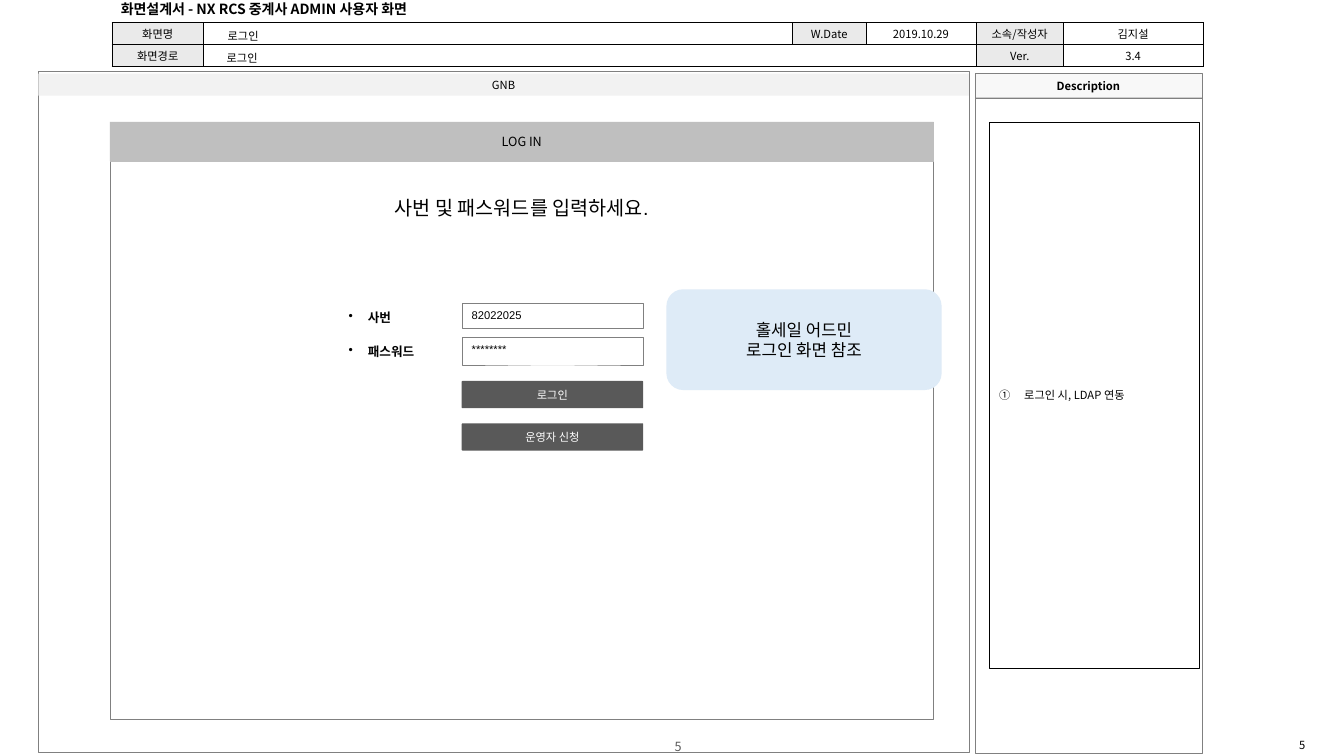
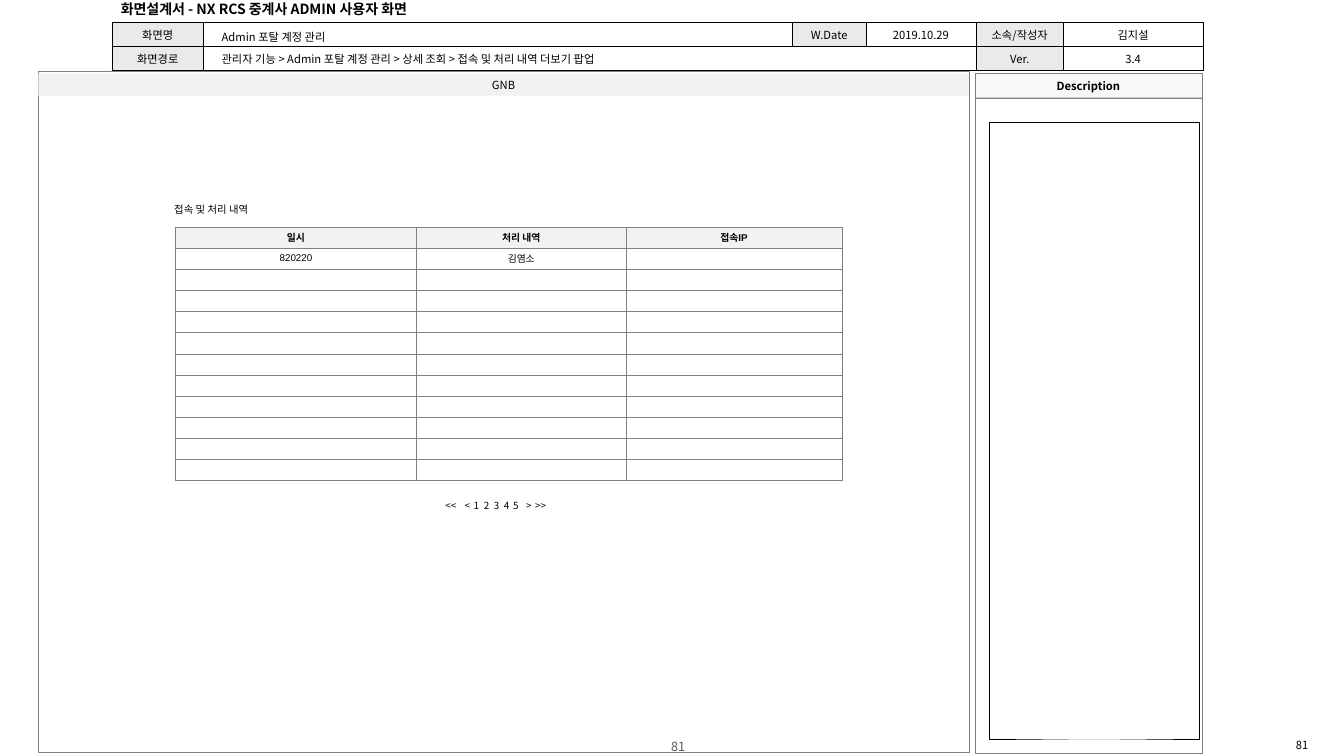
from lxml import etree
from pptx import Presentation
from pptx import util as u
from pptx.dml.color import RGBColor
from pptx.enum import shapes, text
from pptx.oxml import ns

BLACK = RGBColor(0x00, 0x00, 0x00)
WHITE = RGBColor(0xFF, 0xFF, 0xFF)
GRAY = RGBColor(0x80, 0x80, 0x80)
DARK = RGBColor(0x59, 0x59, 0x59)
SILVER = RGBColor(0xBF, 0xBF, 0xBF)
LABEL = RGBColor(0xEA, 0xEA, 0xEA)
BAND = RGBColor(0xF2, 0xF2, 0xF2)
PALE = RGBColor(0xF8, 0xF8, 0xF8)
BLUE = RGBColor(0xDE, 0xEB, 0xF7)
NOTO = "Noto Sans CJK KR"
ARIAL = "Arial"
LEFT, CENTER = text.PP_ALIGN.LEFT, text.PP_ALIGN.CENTER
TOP, MIDDLE = text.MSO_ANCHOR.TOP, text.MSO_ANCHOR.MIDDLE
RECT = shapes.MSO_SHAPE.RECTANGLE
ROUND = shapes.MSO_SHAPE.ROUNDED_RECTANGLE
HEADER_COLUMNS = (0.91, 5.84, 0.73, 1.09, 0.87, 1.38)
HEADER_ROWS = (
    ("화면명", "", "W.Date", "2019.10.29", "소속/작성자", "김지설"),
    ("화면경로", "", "", "", "Ver.", "3.4"),
)
HISTORY_COLUMNS = (2.39, 2.08, 2.14)
HISTORY_ROWS = [("일시", "처리 내역", "접속IP"), ("820220", "김염소", "")] + [("",) * 3] * 10
PAGER = ("<<", "<", "1", "2", "3", "4", "5", ">", ">>")
PAGER_STOPS = (0.19, 0.28, 0.38, 0.48, 0.58, 0.67, 0.8, 0.89)


def apply(target, values):
    for name, value in values.items():
        setattr(target, name, value)


def add_child(parent, tag, **attributes):
    return etree.SubElement(parent, ns.qn(tag), attributes)


def write(frame, content, size=8, font=NOTO, color=BLACK, bold=False,
          align=LEFT, spacing=None):
    for index, line in enumerate(content.split("\n")):
        para = frame.add_paragraph() if index else frame.paragraphs[0]
        apply(para, {"alignment": align, "line_spacing": spacing})
        if not line:
            add_child(para._p, "a:endParaRPr", sz=str(size * 100))
            continue
        span = para.add_run()
        span.text = line
        apply(span.font, {"size": u.Pt(size), "name": font, "bold": bold})
        span.font.color.rgb = color
        add_child(span.font._element, "a:ea", typeface=NOTO)


def add_text(page, at, content, anchor=TOP, **style):
    box = page.shapes.add_textbox(*map(u.Inches, at))
    apply(box.text_frame, {"word_wrap": True, "vertical_anchor": anchor})
    write(box.text_frame, content, **style)
    return box


def add_box(page, at, content="", fill=None, line=None, width=0.25, kind=RECT,
            corner=None, anchor=MIDDLE, align=CENTER, **style):
    box = page.shapes.add_shape(kind, *map(u.Inches, at))
    box.shadow.inherit = False
    if corner is not None:
        box.adjustments[0] = corner
    if fill is None:
        box.fill.background()
    else:
        box.fill.solid()
        box.fill.fore_color.rgb = fill
    if line is None:
        box.line.fill.background()
    else:
        box.line.color.rgb = line
        box.line.width = u.Pt(width)
    apply(box.text_frame, {"word_wrap": True, "vertical_anchor": anchor})
    if content:
        write(box.text_frame, content, align=align, **style)
    return box


def add_bullet(box, indent, tag, **attributes):
    properties = box.text_frame.paragraphs[0]._p.get_or_add_pPr()
    distance = u.Inches(indent)
    properties.set("marL", str(distance))
    properties.set("indent", str(-distance))
    add_child(properties, tag, **attributes)


def add_tabs(box, stops):
    properties = box.text_frame.paragraphs[0]._p.get_or_add_pPr()
    tabs = add_child(properties, "a:tabLst")
    for stop in stops:
        add_child(tabs, "a:tab", pos=str(u.Inches(stop)), algn="l")


def format_cell(cell, content, fill, border, margin, **style):
    apply(cell, {"vertical_anchor": MIDDLE,
                 "margin_left": u.Inches(0.04), "margin_right": u.Inches(0.04),
                 "margin_top": u.Inches(margin), "margin_bottom": u.Inches(margin)})
    properties = cell._tc.get_or_add_tcPr()
    for side in ("a:lnL", "a:lnR", "a:lnT", "a:lnB"):
        edge = add_child(properties, side, w=str(u.Pt(0.25)))
        solid = add_child(edge, "a:solidFill")
        add_child(solid, "a:srgbClr", val=str(border))
    cell.fill.solid()
    cell.fill.fore_color.rgb = fill
    write(cell.text_frame, content, align=CENTER, **style)


def add_grid(page, left, top, columns, rows, height, style_of):
    frame = page.shapes.add_table(
        len(rows), len(columns), u.Inches(left), u.Inches(top),
        u.Inches(sum(columns)), u.Inches(height * len(rows)))
    table = frame.table
    apply(table, {"first_row": False, "horz_banding": False})
    for column, width in zip(table.columns, columns):
        column.width = u.Inches(width)
    for r, values in enumerate(rows):
        table.rows[r].height = u.Inches(height)
        for c, value in enumerate(values):
            format_cell(table.cell(r, c), value, **style_of(r, c))
    return table


def header_style(row, column):
    return {"fill": WHITE if column % 2 else LABEL, "border": BLACK, "margin": 0.02}


def history_style(row, column):
    heading = row == 0
    return {"fill": BAND if heading else WHITE, "border": GRAY, "margin": 0.03,
            "size": 7, "font": ARIAL, "bold": heading}


def add_frame(page, number, row_height):
    add_text(page, (12.5, 7.31, 0.83, 0.16), number, MIDDLE, align=CENTER)
    add_text(page, (5.17, 7.34, 3.11, 0.13), number, MIDDLE,
             size=9, color=DARK, align=CENTER)
    add_box(page, (0.38, 0.71, 9.23, 6.75), line=GRAY)
    table = add_grid(page, 1.11, 0.22, HEADER_COLUMNS, HEADER_ROWS,
                     row_height, header_style)
    table.cell(1, 1).merge(table.cell(1, 3))
    add_text(page, (1.1, -0.04, 4.5, 0.26), "화면설계서 - NX RCS 중계사 ADMIN 사용자 화면",
             MIDDLE, size=10, bold=True)
    add_box(page, (9.67, 0.96, 2.25, 6.51), line=GRAY)
    add_box(page, (9.67, 0.73, 2.25, 0.24), "Description", PALE, GRAY, bold=True)
    add_box(page, (0.38, 0.73, 9.23, 0.22), "GNB", BAND)


def add_field(page, top, height, label, value):
    add_box(page, (4.58, top, 1.8, height), value, WHITE, GRAY,
            anchor=TOP, align=LEFT, font=ARIAL)
    caption = add_text(page, (3.36, top - 0.06, 1.2, 0.33), label,
                       size=9, font=ARIAL, bold=True, spacing=1.5)
    add_bullet(caption, 0.19, "a:buChar", char="•")


def add_button(page, top, label):
    add_box(page, (4.58, top, 1.8, 0.27), label, DARK, kind=ROUND, corner=0.03,
            font=ARIAL, color=WHITE)


def build_login(page):
    add_frame(page, "5", 0.22)
    note = add_box(page, (9.81, 1.21, 2.08, 5.42), "로그인 시, LDAP 연동",
                   WHITE, BLACK, align=LEFT)
    add_bullet(note, 0.25, "a:buAutoNum", type="circleNumDbPlain")
    add_text(page, (1.47, 1.87, 7.41, 0.36), "사번 및 패스워드를 입력하세요.",
             size=14, font=ARIAL, align=CENTER, spacing=1.1)
    add_box(page, (1.09, 1.21, 8.17, 5.93), line=GRAY)
    add_box(page, (1.09, 1.21, 8.17, 0.39), "LOG IN", SILVER, SILVER, 0.5, size=9)
    add_field(page, 3.01, 0.25, "사번", "82022025")
    add_field(page, 3.35, 0.27, "패스워드", "********")
    add_button(page, 3.78, "로그인")
    add_button(page, 4.2, "운영자 신청")
    add_text(page, (2.16, 0.24, 0.94, 0.24), "로그인")
    add_text(page, (2.15, 0.46, 1.24, 0.24), "로그인")
    add_box(page, (6.61, 2.87, 2.73, 1), "홀세일 어드민\n로그인 화면 참조", BLUE,
            kind=ROUND, size=12)


def build_history(page):
    add_frame(page, "81", 0.24)
    add_box(page, (9.81, 1.21, 2.08, 6.12), line=BLACK)
    add_text(page, (2.1, 0.25, 1.66, 0.24), "Admin 포탈 계정 관리")
    add_text(page, (2.1, 0.47, 4.68, 0.24),
             "관리자 기능 > Admin 포탈 계정 관리 > 상세 조회 > 접속 및 처리 내역 더보기 팝업")
    add_text(page, (1.63, 1.97, 1.2, 0.23), "접속 및 처리 내역", size=7.4, font=ARIAL)
    add_grid(page, 1.74, 2.25, HISTORY_COLUMNS, HISTORY_ROWS, 0.21, history_style)
    pager = add_text(page, (4.32, 4.89, 2.26, 0.25), "\t".join(PAGER), MIDDLE, size=7)
    add_tabs(pager, PAGER_STOPS)


def main():
    deck = Presentation()
    apply(deck, {"slide_width": u.Inches(13.33), "slide_height": u.Inches(7.5)})
    for build in (build_login, build_history):
        build(deck.slides.add_slide(deck.slide_layouts[6]))
    deck.save("out.pptx")


if __name__ == "__main__":
    main()
